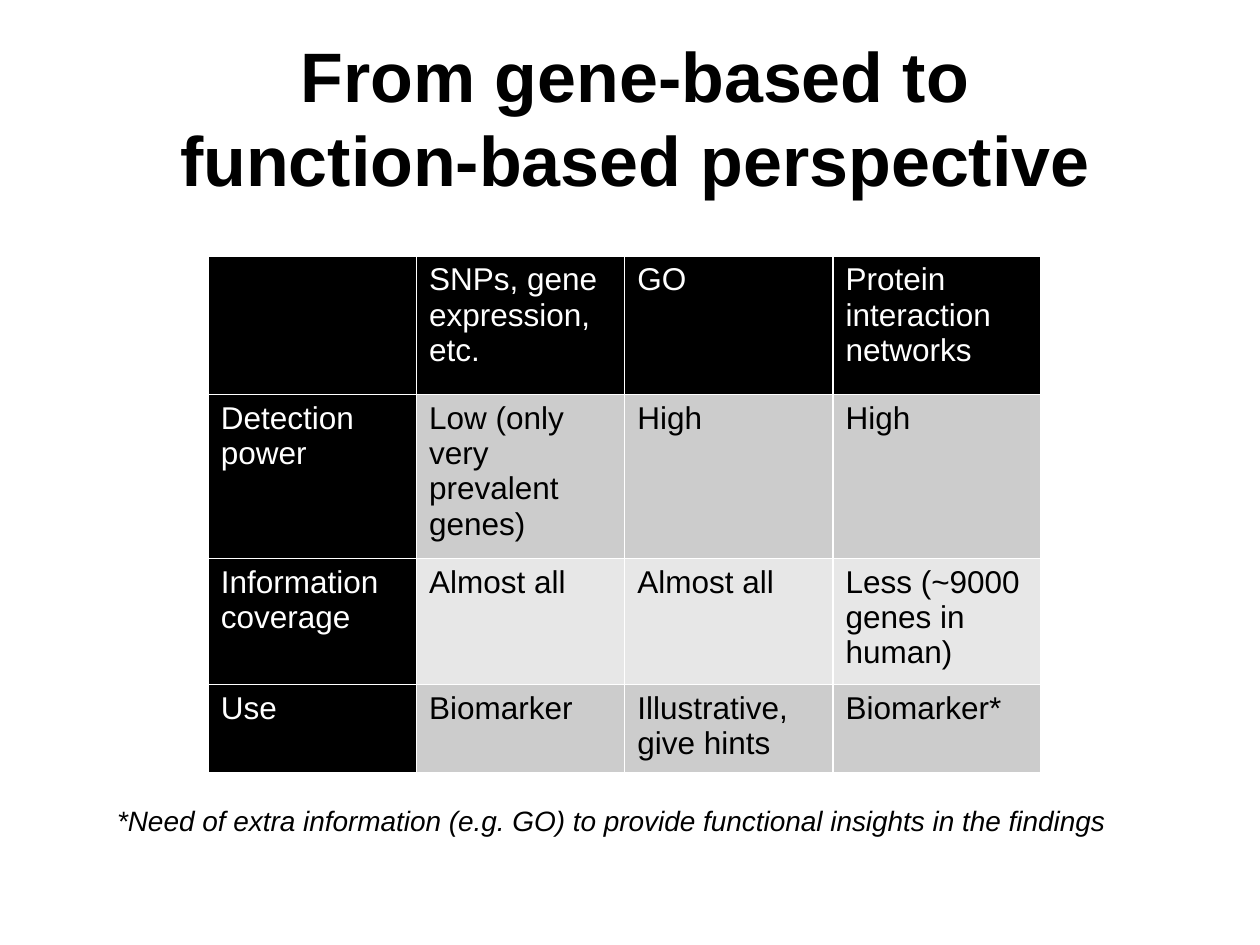
import pptx
import pptx.dml.color
import pptx.enum.text
import pptx.oxml
import pptx.oxml.ns
import pptx.util

Pt = pptx.util.Pt
BLACK, WHITE = "000000", "FFFFFF"
BAND_FILLS = ["CCCCCC", "E7E7E7"]

HEADINGS = ["", "SNPs, gene expression, etc.", "GO", "Protein interaction networks"]
COMPARISON = [
    ["Detection power", "Low (only very prevalent genes)", "High", "High"],
    ["Information coverage", "Almost all", "Almost all", "Less (~9000 genes in human)"],
    ["Use", "Biomarker", "Illustrative, give hints", "Biomarker*"],
]
ROW_HEIGHTS = [79.2, 79.2, 64.1, 49.7]


def color(hex_string):
    return pptx.dml.color.RGBColor.from_string(hex_string)


def style_font(paragraph, size, hex_string, bold=False, italic=False):
    font = paragraph.font
    font.name, font.size = "Arial", Pt(size)
    font.bold, font.italic = bold, italic
    font.color.rgb = color(hex_string)


def add_text(slide, box, text):
    shape = slide.shapes.add_textbox(*(Pt(length) for length in box))
    shape.text_frame.word_wrap = True
    paragraph = shape.text_frame.paragraphs[0]
    paragraph.text = text
    return shape.text_frame, paragraph


def add_title(slide, box):
    frame, paragraph = add_text(slide, box, "From gene-based to function-based perspective")
    frame.vertical_anchor = pptx.enum.text.MSO_ANCHOR.MIDDLE
    paragraph.alignment = pptx.enum.text.PP_ALIGN.CENTER
    style_font(paragraph, 40, BLACK, bold=True)


def add_footnote(slide, box):
    frame, paragraph = add_text(
        slide, box,
        "*Need of extra information (e.g. GO) to provide functional insights in the findings")
    frame.auto_size = pptx.enum.text.MSO_AUTO_SIZE.SHAPE_TO_FIT_TEXT
    style_font(paragraph, 16, BLACK, italic=True)


def set_borders(cell):
    properties = cell._tc.get_or_add_tcPr()
    for position, side in enumerate(["lnL", "lnR", "lnT", "lnB"]):
        properties.insert(position, pptx.oxml.parse_xml(
            f'<a:{side} {pptx.oxml.ns.nsdecls("a")} w="{Pt(1)}"><a:solidFill>'
            f'<a:srgbClr val="{WHITE}"/></a:solidFill></a:{side}>'))


def add_comparison_table(slide, box):
    rows = [HEADINGS] + COMPARISON
    table = slide.shapes.add_table(
        len(rows), len(HEADINGS), *(Pt(length) for length in box)).table
    for column in table.columns:
        column.width = Pt(box[2] / len(HEADINGS))
    for row_index, texts in enumerate(rows):
        table.rows[row_index].height = Pt(ROW_HEIGHTS[row_index])
        for column_index, text in enumerate(texts):
            cell = table.cell(row_index, column_index)
            is_heading = row_index == 0 or column_index == 0
            band_fill = BAND_FILLS[(row_index - 1) % 2]
            cell.fill.solid()
            cell.fill.fore_color.rgb = color(BLACK if is_heading else band_fill)
            set_borders(cell)
            paragraph = cell.text_frame.paragraphs[0]
            paragraph.text = text
            style_font(paragraph, 18, WHITE if is_heading else BLACK)


def main():
    presentation = pptx.Presentation()
    presentation.slide_width, presentation.slide_height = Pt(720), Pt(540)
    slide = presentation.slides.add_slide(presentation.slide_layouts[6])

    # Title, table and footnote, from top to bottom
    add_title(slide, (82, 21.6, 561.6, 90))
    add_comparison_table(slide, (119, 146.2, 476, sum(ROW_HEIGHTS)))
    add_footnote(slide, (59.8, 455.8, 595.4, 26.6))

    presentation.save("out.pptx")


if __name__ == "__main__":
    main()
